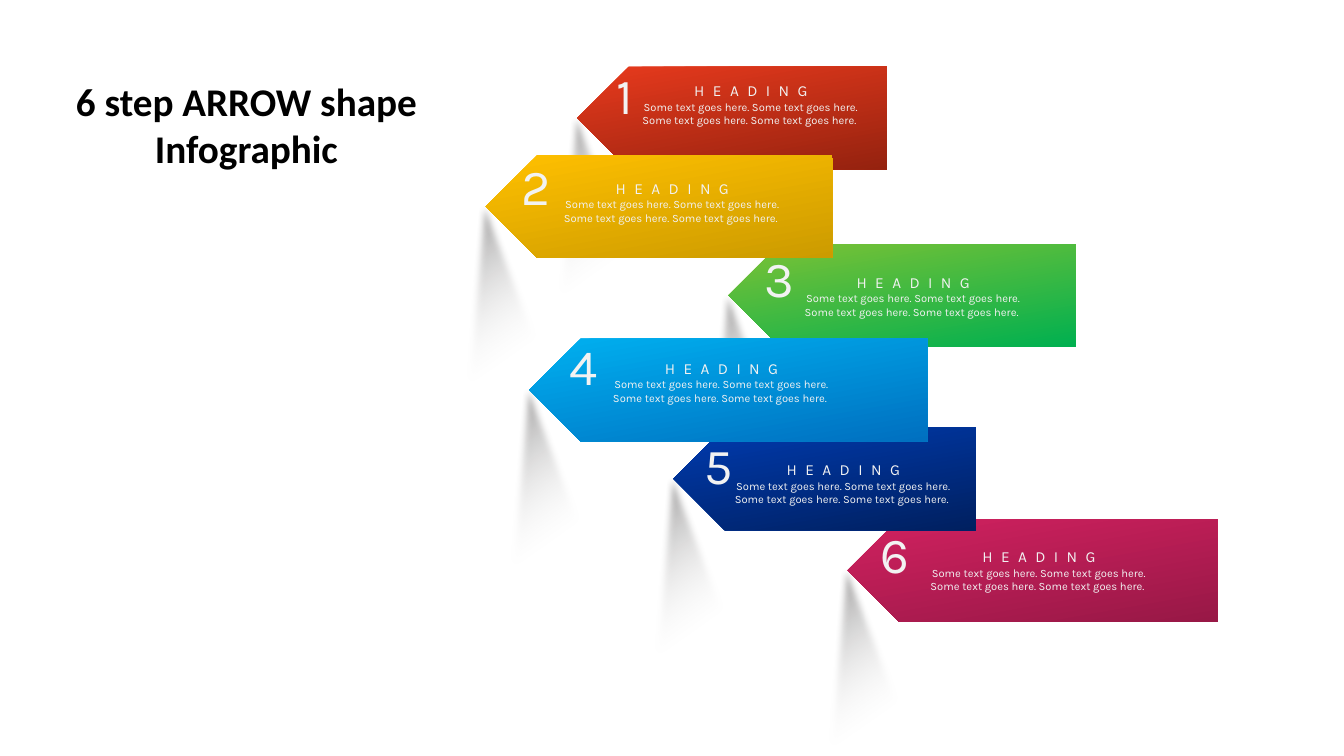
from collections import namedtuple

from pptx import Presentation
from pptx.dml.color import RGBColor
from pptx.enum.shapes import MSO_SHAPE as Preset
from pptx.enum.text import MSO_AUTO_SIZE as AutoSize, PP_ALIGN as Align
from pptx.oxml import parse_xml
from pptx.oxml.ns import nsdecls
from pptx.util import Cm, Pt

BLACK = RGBColor(0x00, 0x00, 0x00)
OFF_WHITE = RGBColor(0xF2, 0xF2, 0xF2)
SHADE = RGBColor(0x3B, 0x38, 0x38)
RED, DARK_RED = RGBColor(0xE7, 0x3A, 0x1D), RGBColor(0x95, 0x22, 0x0F)
AMBER, DARK_AMBER = RGBColor(0xFF, 0xC0, 0x00), RGBColor(0xCC, 0x9B, 0x00)
LIME, GREEN = RGBColor(0x7E, 0xC2, 0x34), RGBColor(0x00, 0xB0, 0x50)
SKY, BLUE = RGBColor(0x00, 0xB0, 0xF0), RGBColor(0x00, 0x70, 0xC0)
ROYAL, NAVY = RGBColor(0x00, 0x3B, 0xB0), RGBColor(0x00, 0x20, 0x60)
PINK, DARK_PINK = RGBColor(0xD1, 0x21, 0x60), RGBColor(0x98, 0x18, 0x46)

TITLE = "6 step ARROW shape Infographic"
HEADING = "HEADING"
BODY = "Some text goes here. " * 4

TITLE_FORMAT = {"name": "Calibri", "size": Pt(28), "bold": True}
NUMBER_FORMAT = {"name": "Karla", "size": Pt(36)}
HEADING_FORMAT = {"name": "Karla", "size": Pt(11)}
BODY_FORMAT = {"name": "Karla", "size": Pt(8)}
WIDE_SPACING = 600

ARROW_HEIGHT = 2.59
SHADOW_SIZE = (2.79, 5.92)
SHADOW_SHIFT = (-0.36, 0.54)
CAPTION_SIZE = (6.35, 1.42)
NUMBER_SIZE = (2.18, 1.8)

# Positions are in centimetres; arrow is left, top, width.
Step = namedtuple("Step", "arrow caption number colours")
STEPS = {
    1: Step((14.55, 1.68, 7.8), (15.75, 1.93), (14.66, 1.5), (RED, DARK_RED)),
    2: Step((12.24, 3.91, 8.74), (13.77, 4.39), (12.42, 3.78), (AMBER, DARK_AMBER)),
    3: Step((18.36, 6.15, 8.74), (19.84, 6.76), (18.54, 6.1), (LIME, GREEN)),
    4: Step((13.34, 8.53, 10.03), (15.01, 8.92), (13.61, 8.33), (SKY, BLUE)),
    5: Step((16.97, 10.77, 7.62), (18.08, 11.48), (17.02, 10.82), (ROYAL, NAVY)),
    6: Step((21.36, 13.08, 9.32), (23.01, 13.67), (21.46, 13.06), (PINK, DARK_PINK)),
}
BACK_SHADOWS = (6, 3, 1, 2)
FRONT_SHADOWS = (4, 5)
ARROW_ORDER = (6, 5, 3, 1, 2, 4)


def fill_gradient(shape, stops, angle):
    """Fill with (position %, colour, opacity %) stops, angle clockwise in degrees."""
    stop_xml = "".join(
        f'<a:gs pos="{position * 1000}"><a:srgbClr val="{colour}">'
        f'<a:alpha val="{opacity * 1000}"/></a:srgbClr></a:gs>'
        for position, colour, opacity in stops
    )
    gradient = parse_xml(
        f'<a:gradFill {nsdecls("a")} rotWithShape="1"><a:gsLst>{stop_xml}</a:gsLst>'
        f'<a:lin ang="{angle * 60000}" scaled="0"/></a:gradFill>'
    )
    shape._element.spPr.find(".//{*}prstGeom").addnext(gradient)


def add_gradient_shape(slide, preset, box, stops, angle):
    shape = slide.shapes.add_shape(preset, *map(Cm, box))
    shape.shadow.inherit = False
    shape.line.fill.background()
    fill_gradient(shape, stops, angle)
    return shape


def add_cast_shadow(slide, step):
    """Add the soft triangle that falls below the tip of a step's arrow."""
    left, top, _ = step.arrow
    box = (left + SHADOW_SHIFT[0], top + SHADOW_SHIFT[1], *SHADOW_SIZE)
    stops = ((32, OFF_WHITE, 0), (85, SHADE, 48))
    triangle = add_gradient_shape(slide, Preset.RIGHT_TRIANGLE, box, stops, 230)
    triangle.rotation = 4.7
    soft_edge = parse_xml(f'<a:softEdge {nsdecls("a")} rad="{Pt(5)}"/>')
    triangle._element.spPr.find("{*}effectLst").append(soft_edge)


def add_arrow(slide, step):
    start, end = step.colours
    stops = ((0, start, 100), (100, end, 100))
    box = (*step.arrow, ARROW_HEIGHT)
    arrow = add_gradient_shape(slide, Preset.PENTAGON, box, stops, 100)
    arrow._element.spPr.xfrm.set("flipH", "1")


def add_text(slide, box, lines, colour):
    """Add centred paragraphs given as (text, format, letter spacing)."""
    frame = slide.shapes.add_textbox(*map(Cm, box)).text_frame
    frame.word_wrap = True
    frame.auto_size = AutoSize.SHAPE_TO_FIT_TEXT
    for index, (text, text_format, spacing) in enumerate(lines):
        paragraph = frame.add_paragraph() if index else frame.paragraphs[0]
        paragraph.alignment = Align.CENTER
        run = paragraph.add_run()
        run.text = text
        for attribute, value in text_format.items():
            setattr(run.font, attribute, value)
        run.font.color.rgb = colour
        run._r.get_or_add_rPr().set("spc", str(spacing))


def add_labels(slide, number, step):
    caption = ((HEADING, HEADING_FORMAT, WIDE_SPACING), (BODY, BODY_FORMAT, 0))
    add_text(slide, (*step.caption, *CAPTION_SIZE), caption, OFF_WHITE)
    numeral = ((str(number), NUMBER_FORMAT, WIDE_SPACING),)
    add_text(slide, (*step.number, *NUMBER_SIZE), numeral, OFF_WHITE)


def main():
    presentation = Presentation()
    presentation.slide_width = Cm(33.87)
    presentation.slide_height = Cm(19.05)
    slide = presentation.slides.add_slide(presentation.slide_layouts[6])

    for number in BACK_SHADOWS:
        add_cast_shadow(slide, STEPS[number])
    for number in ARROW_ORDER:
        add_arrow(slide, STEPS[number])
    for number, step in STEPS.items():
        add_labels(slide, number, step)
    add_text(slide, (0, 1.83, 12.42, 2.64), ((TITLE, TITLE_FORMAT, 0),), BLACK)
    for number in FRONT_SHADOWS:
        add_cast_shadow(slide, STEPS[number])

    presentation.save("out.pptx")


if __name__ == "__main__":
    main()
